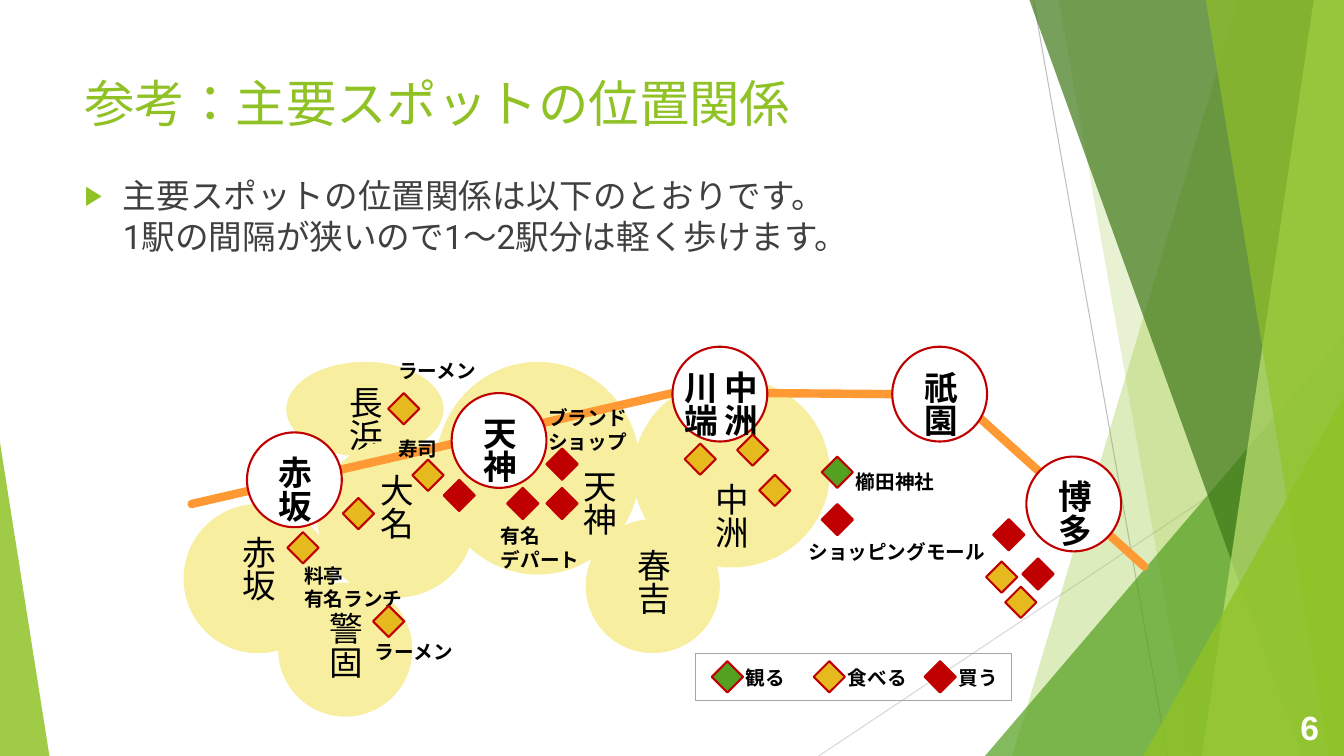
import pptx
import pptx.util
import pptx.dml.color
import pptx.enum.lang
import pptx.enum.shapes
import pptx.enum.text
import pptx.oxml.ns
from lxml import etree

Inches, Pt = pptx.util.Inches, pptx.util.Pt
SHAPE = pptx.enum.shapes.MSO_SHAPE
ALIGN = pptx.enum.text.PP_ALIGN
ANCHOR = pptx.enum.text.MSO_ANCHOR
JAPANESE = pptx.enum.lang.MSO_LANGUAGE_ID.JAPANESE
qn = pptx.oxml.ns.qn

WIDTH, HEIGHT = 13.33, 7.5
COLORS = {
    "lime": "90C226", "green": "54A021", "forest": "3F7819", "pale": "C0E474",
    "area": "F8EEA0", "rail": "FF9933", "red": "C00000", "yellow": "E6B91E",
    "body": "404040", "black": "000000", "white": "FFFFFF",
    "frame": "A6A6A6", "grey": "BFBFBF", "light": "D9D9D9",
}

TITLE = "参考：主要スポットの位置関係"
LEAD = "主要スポットの位置関係は以下のとおりです。\v1駅の間隔が狭いので1～2駅分は軽く歩けます。"
PAGE = "6"

# Background bands: top-left x, bottom-left x, colour, opacity in percent
BANDS_BACK = [(12.28, 10.04, "lime", 30), (10.5, 11.83, "lime", 20)]
BANDS_FRONT = [(10.21, 12.91, "forest", 70), (13.03, 11.92, "pale", 70),
               (11.96, 13.18, "lime", 65)]
# Corner triangles: left, top, width, apex position, colour, opacity
CORNER_BACK = (9.77, 3.33, 3.56, 1, "green", 72)
CORNERS_FRONT = [(11.34, 3.93, 1.99, 1, "lime", 80), (0, 4.39, 0.49, 0, "lime", 85)]
HAIRLINES = [((10.25, 0), (11.58, HEIGHT), "grey"),
             ((WIDTH, 4.03), (8.12, HEIGHT), "light")]

# Areas: name, (left, top, width, height), alignment, indent in points
AREAS = [
    ("中洲", (6.28, 3.75, 1.95, 1.88), ALIGN.CENTER, 48),
    ("長浜", (2.84, 3.59, 1.56, 0.94), ALIGN.CENTER, 0),
    ("春吉", (5.81, 5.15, 1.33, 1.33), ALIGN.CENTER, 0),
    ("", (4.32, 3.59, 2.03, 2.11), ALIGN.CENTER, 0),
    ("大名", (3.15, 4.37, 1.56, 1.56), ALIGN.RIGHT, 0),
    ("赤坂", (1.82, 5, 1.48, 1.48), ALIGN.CENTER, 0),
    ("警固", (2.76, 5.78, 1.33, 1.33), ALIGN.CENTER, 0),
]
TENJIN_AREA = ("天神", (5.64, 4.56, 0.6, 0.9))  # name sits at the area's right edge

RAILS = [((11.35, 5.62), (9.71, 4.14)), ((8.85, 3.91), (7.6, 3.9)), ((6.67, 3.9), (1.9, 5))]
STATION_SIZE = 0.94
STATIONS = [("祇園", 8.85, 3.44), ("中洲\n川端", 6.67, 3.44), ("天神", 4.48, 3.9),
            ("赤坂", 2.45, 4.29), ("博多", 10.18, 4.53)]

SPOT_SIZE = 0.31
SPOTS = {
    "green": [(8.15, 4.53)],
    "yellow": [(3.85, 3.9), (2.85, 5.28), (4.09, 4.56), (3.4, 4.94), (3.7, 6.01),
               (6.79, 4.4), (7.31, 4.31), (7.53, 4.71), (9.78, 5.57), (9.97, 5.82)],
    "red": [(8.15, 5), (4.4, 4.76), (5.03, 4.84), (5.42, 4.84), (5.42, 4.45),
            (10.14, 5.54), (9.85, 5.15)],
}
SPOT_LABELS = [
    ("ショッピングモール", 7.92, 5.31), ("櫛田神社", 8.39, 4.61), ("ラーメン", 3.85, 3.51),
    ("料亭\n有名ランチ", 2.92, 5.54), ("有名\nデパート", 4.87, 5.15),
    ("ブランド\nショップ", 5.34, 3.98), ("寿司", 3.85, 4.29), ("ラーメン", 3.62, 6.3),
]
LEGEND_BOX = (6.9, 6.48, 3.13, 0.47)
LEGEND_TOP, LEGEND_GAP = 6.56, 0.24
LEGEND = [("観る", "green", 7.06), ("食べる", "yellow", 8.07), ("買う", "red", 9.17)]

deck = pptx.Presentation()
deck.slide_width, deck.slide_height = Inches(WIDTH), Inches(HEIGHT)
slide = deck.slides.add_slide(deck.slide_layouts[6])
shapes = slide.shapes


def rgb(color):
    return pptx.dml.color.RGBColor.from_string(COLORS[color])


def paint(shape, fill=None, line=None, weight=1.5, opacity=100):
    shape.shadow.inherit = False
    if fill:
        shape.fill.solid()
        shape.fill.fore_color.rgb = rgb(fill)
        if opacity < 100:
            tint = shape._element.spPr.find(".//" + qn("a:srgbClr"))
            etree.SubElement(tint, qn("a:alpha")).set("val", str(opacity * 1000))
    else:
        shape.fill.background()
    if line:
        shape.line.color.rgb = rgb(line)
        shape.line.width = Pt(weight)
    else:
        shape.line.fill.background()


def add_shape(kind, box, **look):
    shape = shapes.add_shape(kind, *map(Inches, box))
    paint(shape, **look)
    return shape


def add_line(start, end, color, weight):
    line = shapes.add_connector(pptx.enum.shapes.MSO_CONNECTOR.STRAIGHT,
                                *map(Inches, start + end))
    line.line.color.rgb = rgb(color)
    line.line.width = Pt(weight)
    etree.SubElement(line._element.spPr, qn("a:effectLst"))
    return line


def add_band(top_x, bottom_x, color, opacity):
    outline = shapes.build_freeform(Inches(top_x), 0)
    outline.add_line_segments([(Inches(x), Inches(y)) for x, y in
                               [(WIDTH, 0), (WIDTH, HEIGHT), (bottom_x, HEIGHT)]])
    paint(outline.convert_to_shape(), fill=color, opacity=opacity)


def add_corner(left, top, width, apex, color, opacity):
    corner = add_shape(SHAPE.ISOSCELES_TRIANGLE, (left, top, width, HEIGHT - top),
                       fill=color, opacity=opacity)
    corner.adjustments[0] = apex


def add_bullet(paragraph):
    layout = paragraph._p.get_or_add_pPr()
    layout.set("marL", str(Inches(0.38)))
    layout.set("indent", str(Inches(-0.38)))
    tint = etree.SubElement(layout, qn("a:buClr"))
    etree.SubElement(tint, qn("a:srgbClr")).set("val", COLORS["lime"])
    etree.SubElement(layout, qn("a:buSzPct")).set("val", "80000")
    etree.SubElement(layout, qn("a:buFont")).set("typeface", "Arial")
    etree.SubElement(layout, qn("a:buChar")).set("char", "▶")


def write(shape, text, size, color="black", bold=False, font="Arial",
          align=ALIGN.LEFT, anchor=ANCHOR.TOP, wrap=False, bullet=False):
    frame = shape.text_frame
    frame.text = text
    frame.word_wrap = wrap
    frame.vertical_anchor = anchor
    for paragraph in frame.paragraphs:
        if bullet:
            add_bullet(paragraph)
        paragraph.alignment = align
        paragraph.font.size = Pt(size)
        paragraph.font.bold = bold
        paragraph.font.name = font
        paragraph.font.color.rgb = rgb(color)
        for run in paragraph.runs:
            run.font.language_id = JAPANESE


def write_vertical(shape, text, bold=False, align=ALIGN.CENTER, indent=0):
    write(shape, text, 24, bold=bold, align=align, anchor=ANCHOR.MIDDLE)
    shape._element.txBody.bodyPr.set("vert", "eaVert")
    if indent:
        shape.text_frame.paragraphs[0]._p.get_or_add_pPr().set("marL", str(Pt(indent)))


def add_text(box, text, size, **style):
    write(shapes.add_textbox(*map(Inches, box)), text, size, **style)


def add_label(text, left, top):
    """Add a bold 14 pt label in a box sized from its characters and lines."""
    lines = text.split("\n")
    width = 0.25 + max(map(len, lines)) * 14 / 72
    add_text((left, top, width, 0.1 + 0.24 * len(lines)), text, 14, bold=True)


def add_spot(left, top, color):
    add_shape(SHAPE.DIAMOND, (left, top, SPOT_SIZE, SPOT_SIZE), fill=color, line="red")


# Background
for start, end, color in HAIRLINES:
    add_line(start, end, color, 0.75)
for band in BANDS_BACK:
    add_band(*band)
add_corner(*CORNER_BACK)
for band in BANDS_FRONT:
    add_band(*band)
for corner in CORNERS_FRONT:
    add_corner(*corner)

# Heading and lead
add_text((0.74, 0.67, 9.4, 0.8), TITLE, 36, color="lime", font="Roboto", wrap=True)
add_text((0.74, 1.69, 9.4, 1.1), LEAD, 24, color="body", font="Roboto", wrap=True, bullet=True)

# Map
for name, box, align, indent in AREAS:
    area = add_shape(SHAPE.OVAL, box, fill="area")
    if name:
        write_vertical(area, name, align=align, indent=indent)
tenjin, tenjin_box = TENJIN_AREA
write_vertical(shapes.add_textbox(*map(Inches, tenjin_box)), tenjin)
for start, end in RAILS:
    add_line(start, end, "rail", 6).line._get_or_add_ln().set("cap", "rnd")
for name, left, top in STATIONS:
    station = add_shape(SHAPE.OVAL, (left, top, STATION_SIZE, STATION_SIZE),
                        fill="white", line="red")
    write_vertical(station, name, bold=True)
for label in SPOT_LABELS:
    add_label(*label)
for color, places in SPOTS.items():
    for left, top in places:
        add_spot(left, top, color)

# Legend and page number
add_shape(SHAPE.RECTANGLE, LEGEND_BOX, line="frame", weight=0.5)
for meaning, color, left in LEGEND:
    add_spot(left, LEGEND_TOP, color)
    add_label(meaning, left + LEGEND_GAP, LEGEND_TOP)
add_text((12.43, 7.01, 0.75, 0.4), PAGE, 24, color="white", bold=True,
         align=ALIGN.RIGHT, anchor=ANCHOR.MIDDLE, wrap=True)

deck.save("out.pptx")
